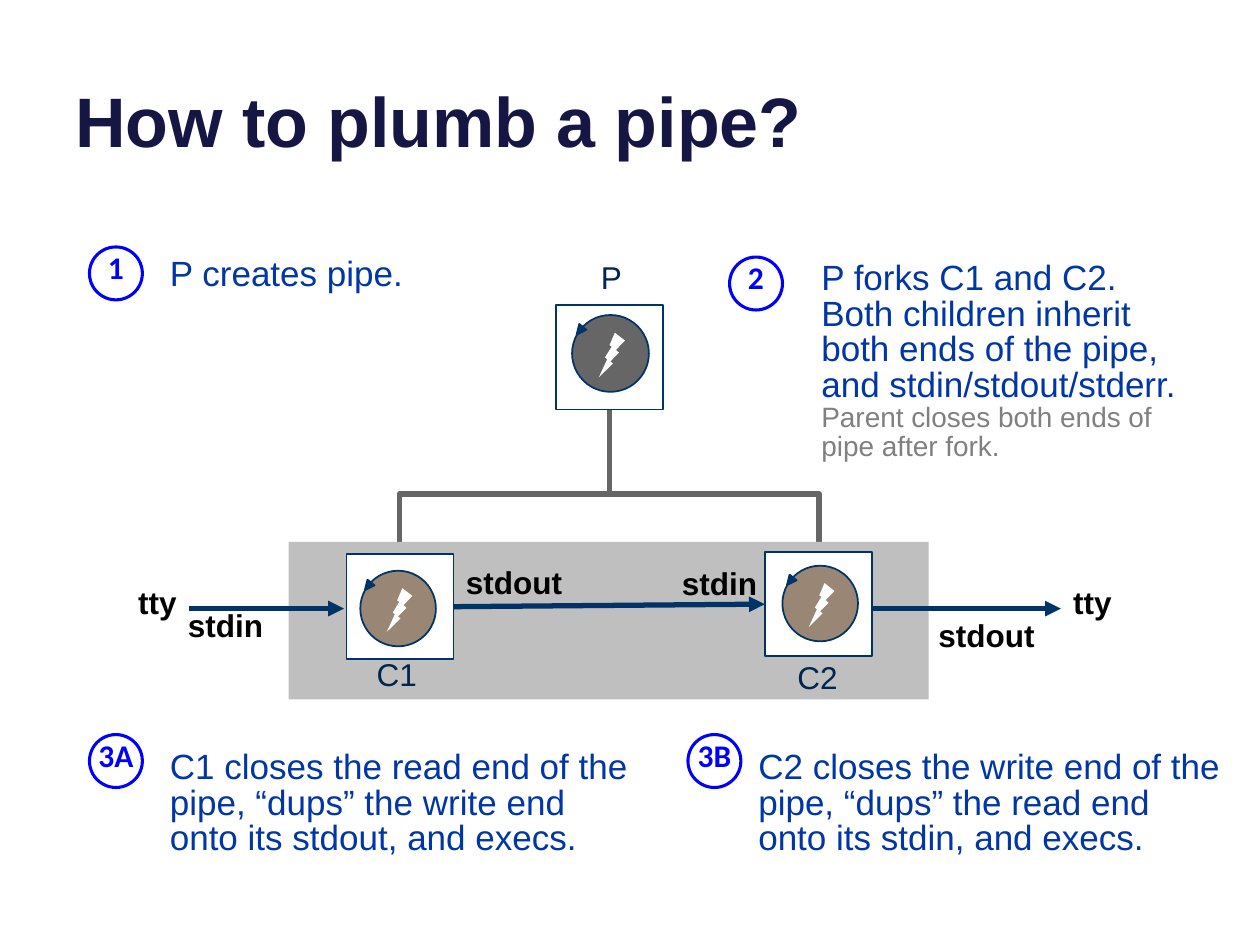
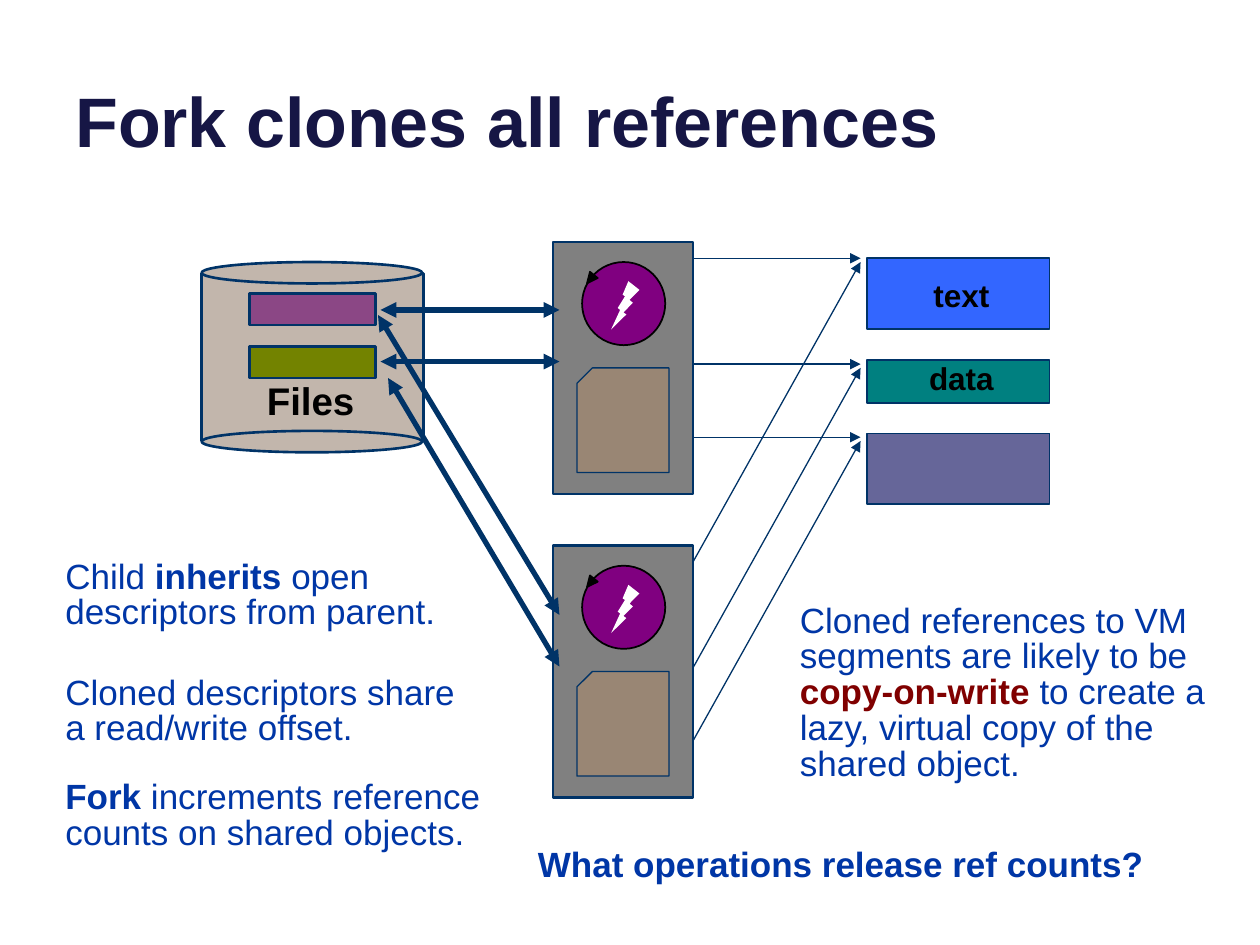
from dataclasses import dataclass
from typing import NamedTuple, Optional

from lxml import etree
from pptx import Presentation
from pptx.dml.color import RGBColor
from pptx.enum.shapes import MSO_CONNECTOR, MSO_SHAPE as SHAPE
from pptx.enum.text import MSO_ANCHOR as ANCHOR, MSO_AUTO_SIZE as AUTO, PP_ALIGN as ALIGN
from pptx.oxml.ns import qn
from pptx.util import Inches, Pt

COLORS = {
    "title": "161645", "body": "0036A6", "name": "00264D", "label": "000000",
    "navy": "003367", "badge": "0000FF", "white": "FFFFFF", "gray": "808080",
    "dark_gray": "666666", "band": "BFBFBF", "tan": "998674", "sand": "C2B6AC",
    "purple": "800080", "plum": "8B4785", "olive": "738300", "blue": "3366FF",
    "teal": "008080", "slate": "666699", "maroon": "800000",
}


class Box(NamedTuple):
    x: float
    y: float
    w: float
    h: float


@dataclass
class Process:
    name: str
    box: Box
    icon_x: float
    icon_y: float
    icon_size: float
    icon_fill: str
    name_x: float
    name_y: float


@dataclass
class Badge:
    text: str
    x: float
    y: float


@dataclass
class Note:
    """Blue body text; each paragraph is a string or a list of (text, format) runs."""
    box: Box
    paras: list
    wrap: bool = True
    bold: bool = False


@dataclass
class Segment:
    box: Box
    fill: str
    label: Optional[str] = None
    label_y: float = 0


PROCESSES = [
    Process("C1", Box(2.75, 4.4, 0.85, 0.83), 2.86, 4.53, 0.6, "tan", 2.89, 5.15),
    Process("C2", Box(6.07, 4.38, 0.85, 0.83), 6.21, 4.49, 0.6, "tan", 6.23, 5.17),
    Process("P", Box(4.41, 2.42, 0.85, 0.83), 4.54, 2.5, 0.61, "dark_gray", 4.67, 2),
]
BADGES = [Badge("1", 0.67, 1.92), Badge("2", 5.75, 2),
          Badge("3A", 0.67, 5.79), Badge("3B", 5.42, 5.79)]
STREAM_LABELS = [
    ("stdin", 1.33, 4.76, 0.92), ("stdout", 7.33, 4.84, 1), ("tty", 0.75, 4.58, 1),
    ("stdout", 3.58, 4.42, 1), ("stdin", 5.25, 4.43, 0.92), ("tty", 8.17, 4.58, 1),
]
PIPE_NOTES = [
    Note(Box(1.25, 2, 3.08, 0.4), ["P creates pipe."]),
    Note(Box(1.25, 5.91, 3.9, 0.96),
         ["C1 closes the read end of the pipe, “dups” the write end onto its stdout, and execs."]),
    Note(Box(6.42, 2.03, 3.08, 1.71), [
        "P forks C1 and C2.",
        "Both children inherit both ends of the pipe, and stdin/stdout/stderr.",
        [("Parent closes both ends of pipe after fork.", {"size": 16, "color": "gray"})],
    ]),
    Note(Box(5.92, 5.91, 3.9, 0.96),
         ["C2 closes the write end of the pipe, “dups” the read end onto its stdin, and execs."]),
]

SEGMENTS = [
    Segment(Box(6.88, 2.05, 1.45, 0.56), "blue", "text", 2.14),
    Segment(Box(6.88, 2.86, 1.45, 0.34), "teal", "data", 2.8),
    Segment(Box(6.88, 3.44, 1.45, 0.56), "slate"),
]
PARENT_Y, CHILD_Y = 1.92, 4.33
REFERENCE_YS = [2.05, 2.89, 3.47]
FILES = [(2.33, "plum"), (2.75, "olive")]
FILE_ARROWS = [
    ((3.02, 2.87), (4.44, 2.87)), ((3.02, 2.46), (4.44, 2.46)),
    ((3.08, 3), (4.44, 5.29)), ((3, 2.5), (4.44, 4.88)),
]
FORK_NOTES = [
    Note(Box(6.25, 4.75, 3.5, 1.54), [[
        ("Cloned references to VM segments are likely to be ", {}),
        ("copy-on-write ", {"color": "maroon", "bold": True}),
        ("to create a lazy, virtual copy of the shared object.", {}),
    ]]),
    Note(Box(0.42, 5.32, 3.5, 0.68), ["Cloned descriptors share a read/write offset."]),
    Note(Box(0.42, 4.4, 3.5, 0.68), [[
        ("Child ", {}), ("inherits", {"bold": True}), (" open descriptors from parent.", {}),
    ]]),
    Note(Box(0.42, 6.15, 3.5, 0.68), [[
        ("Fork", {"bold": True}), (" increments reference counts on shared objects.", {}),
    ]]),
    Note(Box(4.17, 6.69, 5.05, 0.4), ["What operations release ref counts?"],
         wrap=False, bold=True),
]


def rgb(name: str) -> RGBColor:
    return RGBColor.from_string(COLORS[name])


def add_shape(shapes, kind, box: Box, fill=None, line=None, width=1.0, flip=False, rotation=0):
    sp = shapes.add_shape(kind, *map(Inches, box))
    sp.shadow.inherit = False
    sp.rotation = rotation
    if flip:
        sp._element.spPr.find(qn("a:xfrm")).set("flipH", "1")
    if fill:
        sp.fill.solid()
        sp.fill.fore_color.rgb = rgb(fill)
    else:
        sp.fill.background()
    if line:
        sp.line.color.rgb = rgb(line)
        sp.line.width = Pt(width)
    else:
        sp.line.fill.background()
    return sp


def add_text(shapes, box: Box, paras: list, size=18, color="label", bold=False, font="Arial",
             align=ALIGN.LEFT, anchor=ANCHOR.TOP, wrap=True, spacing=None, grow=True):
    tf = shapes.add_textbox(*map(Inches, box)).text_frame
    tf.word_wrap = wrap
    tf.auto_size = AUTO.SHAPE_TO_FIT_TEXT if grow else AUTO.NONE
    tf.vertical_anchor = anchor
    for i, para in enumerate(paras):
        p = tf.add_paragraph() if i else tf.paragraphs[0]
        p.alignment = align
        if spacing:
            p.line_spacing = spacing
        for text, fmt in [(para, {})] if isinstance(para, str) else para:
            r = p.add_run()
            r.text = text
            r.font.name = font
            r.font.size = Pt(fmt.get("size", size))
            r.font.bold = fmt.get("bold", bold)
            r.font.color.rgb = rgb(fmt.get("color", color))


def add_line(shapes, start, end, color="navy", width=3.0, head=False, tail=True):
    """Draw a straight line; head and tail put arrowheads at its start and end."""
    line = shapes.add_connector(MSO_CONNECTOR.STRAIGHT, *map(Inches, (*start, *end)))
    line.line.color.rgb = rgb(color)
    line.line.width = Pt(width)
    ln = line.line._get_or_add_ln()
    for wanted, tag in ((head, "a:headEnd"), (tail, "a:tailEnd")):
        if wanted:
            etree.SubElement(ln, qn(tag)).set("type", "triangle")
    etree.SubElement(line._element.spPr, qn("a:effectLst"))
    return line


def add_label(shapes, text: str, x: float, y: float, w: float, h=0.41, size=18):
    add_text(shapes, Box(x, y, w, h), [text], size=size, bold=True, align=ALIGN.CENTER)


def add_note(shapes, note: Note):
    add_text(shapes, note.box, note.paras, size=20, color="body", bold=note.bold,
             wrap=note.wrap, spacing=0.85)


def add_thread_icon(shapes, x: float, y: float, d: float, fill: str, line: str):
    """Draw a circle with a lightning bolt and an arrow tip on its rim."""
    group = shapes.add_group_shape().shapes
    add_shape(group, SHAPE.OVAL, Box(x, y, d, d), fill, line)
    add_shape(group, SHAPE.LIGHTNING_BOLT,
              Box(x + 0.35 * d, y + 0.23 * d, 0.34 * d, 0.58 * d), "white", flip=True)
    add_shape(group, SHAPE.ISOSCELES_TRIANGLE,
              Box(x + 0.04 * d, y + 0.14 * d, 0.12 * d, 0.13 * d), line, line, rotation=219)


def add_badge(shapes, badge: Badge):
    group = shapes.add_group_shape().shapes
    add_text(group, Box(badge.x, badge.y, 0.5, 0.4), [badge.text], color="badge",
             bold=True, font="Calibri", align=ALIGN.CENTER)
    add_shape(group, SHAPE.OVAL, Box(badge.x + 0.04, badge.y + 0.04, 0.42, 0.42),
              line="badge", width=1.75)


def add_titled_slide(prs, title: str):
    slide = prs.slides.add_slide(prs.slide_layouts[6])
    add_text(slide.shapes, Box(0.5, -0.37, 9, 1.7), [title], size=40, color="title",
             bold=True, anchor=ANCHOR.BOTTOM, grow=False)
    return slide.shapes


def build_pipe_slide(prs):
    shapes = add_titled_slide(prs, "How to plumb a pipe?")
    fork = add_shape(shapes, SHAPE.RECTANGLE, Box(3.17, 3.92, 3.33, 0.67),
                     line="dark_gray", width=3)
    add_shape(shapes, SHAPE.RECTANGLE, Box(2.29, 4.3, 5.08, 1.25), "band")

    frames = {}
    for proc in PROCESSES:
        frames[proc.name] = add_shape(shapes, SHAPE.RECTANGLE, proc.box, "white", "navy")
        add_thread_icon(shapes, proc.icon_x, proc.icon_y, proc.icon_size,
                        proc.icon_fill, "navy")
        add_text(shapes, Box(proc.name_x, proc.name_y, 0.37 if proc.name == "P" else 0.52, 0.4),
                 [proc.name], color="name", wrap=False)

    stem = add_line(shapes, (4.83, 3.92), (4.83, 3.25), "dark_gray", tail=False)
    stem.begin_connect(fork, 0)
    stem.end_connect(frames["P"], 2)
    pipe = add_line(shapes, (3.6, 4.82), (6.07, 4.8))
    pipe.begin_connect(frames["C1"], 3)
    pipe.end_connect(frames["C2"], 1)
    add_line(shapes, (1.5, 4.83), (2.73, 4.83))
    add_line(shapes, (6.92, 4.83), (8.42, 4.83))

    for text, x, y, w in STREAM_LABELS:
        add_label(shapes, text, x, y, w)
    for badge in BADGES:
        add_badge(shapes, badge)
    for note in PIPE_NOTES:
        add_note(shapes, note)


def add_process_column(shapes, y: float):
    add_shape(shapes, SHAPE.RECTANGLE, Box(4.39, y, 1.11, 2), "gray", "navy", 1.5)
    add_thread_icon(shapes, 4.62, y + 0.16, 0.66, "purple", "label")
    add_shape(shapes, SHAPE.SNIP_1_RECTANGLE, Box(4.58, y + 1, 0.73, 0.83),
              "tan", "navy", 0.75, flip=True)


def add_file_store(shapes):
    add_shape(shapes, SHAPE.RECTANGLE, Box(1.6, 2.17, 1.76, 1.33), "sand", "navy", 1.5)
    for y in (2.08, 3.42):
        add_shape(shapes, SHAPE.OVAL, Box(1.6, y, 1.75, 0.17), "sand", "navy", 1.5)
    for y, fill in FILES:
        add_shape(shapes, SHAPE.RECTANGLE, Box(1.98, y, 1, 0.25), fill, "navy", 1.5)
    add_label(shapes, "Files", 1.62, 2.94, 1.69, h=0.47, size=22)


def build_fork_slide(prs):
    shapes = add_titled_slide(prs, "Fork clones all references")
    for y in (PARENT_Y, CHILD_Y):
        add_process_column(shapes, y)
    add_file_store(shapes)
    for start, end in FILE_ARROWS:
        add_line(shapes, start, end, head=True)
    for seg in SEGMENTS:
        add_shape(shapes, SHAPE.FLOWCHART_PROCESS, seg.box, seg.fill, "navy")
        if seg.label:
            add_label(shapes, seg.label, 6.92, seg.label_y, 1.42)
    for y in REFERENCE_YS:
        add_line(shapes, (5.5, y), (6.83, y), width=0.75)
        add_line(shapes, (5.5, y + CHILD_Y - PARENT_Y), (6.83, y + 0.03), width=0.75)
    for note in FORK_NOTES:
        add_note(shapes, note)


def main():
    prs = Presentation()
    prs.slide_width, prs.slide_height = Inches(10), Inches(7.5)
    build_pipe_slide(prs)
    build_fork_slide(prs)
    prs.save("out.pptx")


if __name__ == "__main__":
    main()
